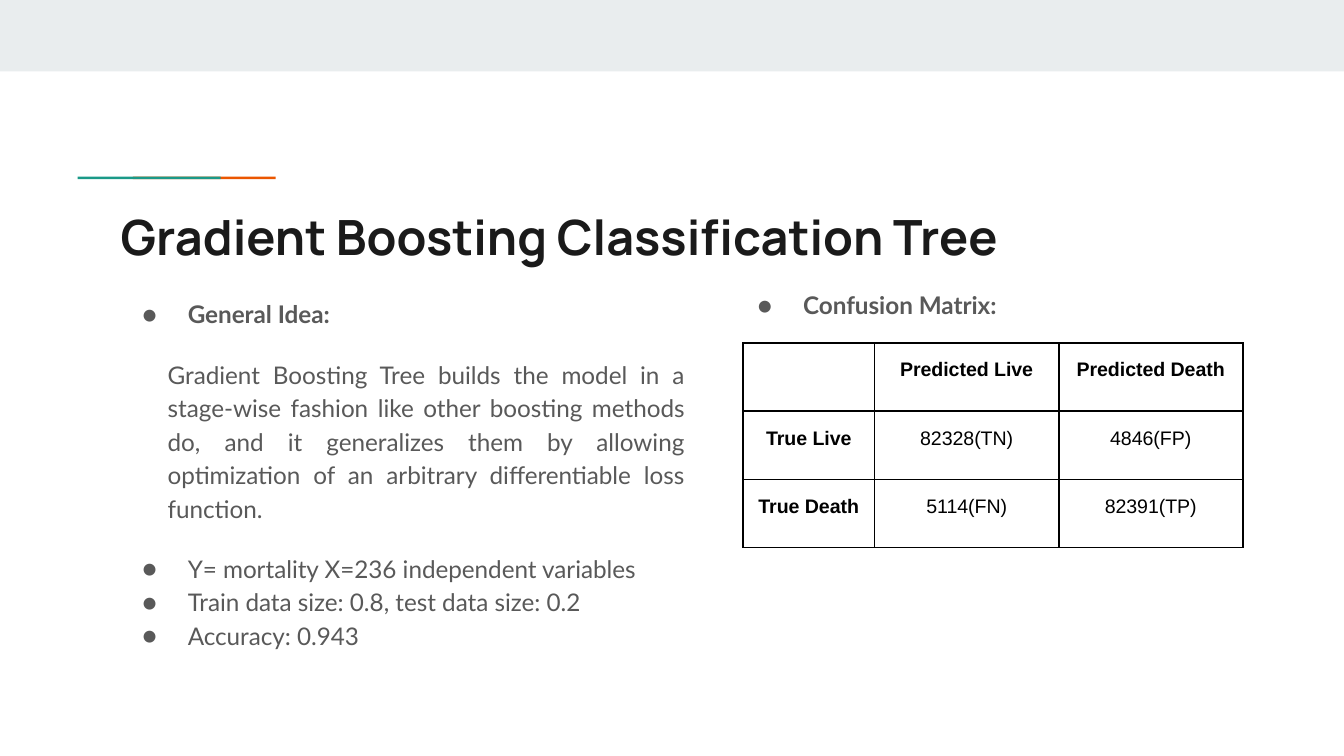
from dataclasses import dataclass

from lxml.etree import SubElement
from pptx import Presentation
from pptx.dml.color import RGBColor
from pptx.enum.shapes import MSO_SHAPE
from pptx.enum.text import MSO_ANCHOR, MSO_AUTO_SIZE, PP_ALIGN
from pptx.oxml import parse_xml
from pptx.oxml.ns import nsdecls, qn
from pptx.util import Cm, Pt


@dataclass(frozen=True)
class Theme:
    band: str = "E9EDEE"
    orange: str = "EB5600"
    teal: str = "1A9988"
    heading: str = "1A1A1A"
    body: str = "595959"
    grid: str = "000000"
    heading_font: str = "Manrope"
    body_font: str = "Lato"
    table_font: str = "Arial"
    heading_size: float = 26
    body_size: float = 13
    table_size: float = 10.5
    line_spacing: float = 1.15


THEME = Theme()

SETTINGS = [
    "Y= mortality X=236 independent variables",
    "Train data size: 0.8, test data size: 0.2",
    "Accuracy: 0.943",
]
IDEA = (
    "Gradient Boosting Tree builds the model in a stage-wise fashion like other "
    "boosting methods do, and it generalizes them by allowing optimization of an "
    "arbitrary differentiable loss function."
)
CONFUSION = [
    ["", "Predicted Live", "Predicted Death"],
    ["True Live", "82328(TN)", "4846(FP)"],
    ["True Death", "5114(FN)", "82391(TP)"],
]


def format_runs(paragraph, font, size, color, bold=False):
    for run in paragraph.runs:
        run.font.name = font
        run.font.size = Pt(size)
        run.font.bold = bold
        run.font.color.rgb = RGBColor.from_string(color)


def set_frame(frame):
    frame.word_wrap = True
    frame.auto_size = MSO_AUTO_SIZE.NONE
    frame.vertical_anchor = MSO_ANCHOR.TOP
    frame.margin_left = frame.margin_right = Cm(0.25)
    frame.margin_top = frame.margin_bottom = Cm(0.25)


def add_bullet(paragraph):
    properties = paragraph._p.get_or_add_pPr()
    properties.set("marL", str(Cm(1.27)))
    properties.set("indent", str(-Cm(0.86)))
    color = SubElement(properties, qn("a:buClr"))
    SubElement(color, qn("a:srgbClr"), val=THEME.body)
    SubElement(properties, qn("a:buFont"), typeface=THEME.body_font)
    SubElement(properties, qn("a:buChar"), char="●")


def add_bar(slide, box, color):
    bar = slide.shapes.add_shape(MSO_SHAPE.RECTANGLE, *map(Cm, box))
    bar.shadow.inherit = False
    bar.fill.solid()
    bar.fill.fore_color.rgb = RGBColor.from_string(color)
    bar.line.fill.background()


def add_text(slide, box, lines, bold_lines=0, bulleted=True):
    frame = slide.shapes.add_textbox(*map(Cm, box)).text_frame
    set_frame(frame)
    frame.text = "\n".join(lines)
    for index, paragraph in enumerate(frame.paragraphs):
        paragraph.line_spacing = THEME.line_spacing
        format_runs(paragraph, THEME.body_font, THEME.body_size, THEME.body,
                    index < bold_lines)
        if bulleted:
            add_bullet(paragraph)
    return frame


def build_header(slide, box):
    left, top, width, height = box
    add_bar(slide, (left, top, width, height), THEME.band)
    for offset, color in ((1.04, THEME.orange), (0, THEME.teal)):
        add_bar(slide, (left + 1.47 + offset, top + 3.34, 2.7, 0.05), color)


def build_title(slide, box):
    title = slide.shapes.title
    title.left, title.top, title.width, title.height = map(Cm, box)
    set_frame(title.text_frame)
    title.text_frame.text = "Gradient Boosting Classification Tree"
    heading = title.text_frame.paragraphs[0]
    heading.alignment = PP_ALIGN.LEFT
    format_runs(heading, THEME.heading_font, THEME.heading_size, THEME.heading, True)


def build_idea(slide, box):
    left, top, width, height = box
    outline = add_text(slide, box, ["General Idea:", *SETTINGS], bold_lines=1)
    outline.paragraphs[1].space_before = Pt(118.5)
    explanation = add_text(slide, (left + 0.89, top + 1.14, width - 0.66, 3.84),
                           [IDEA], bulleted=False)
    explanation.paragraphs[0].alignment = PP_ALIGN.JUSTIFY


def add_borders(cell):
    properties = cell._tc.get_or_add_tcPr()
    for position, side in enumerate(("lnL", "lnR", "lnT", "lnB")):
        border = parse_xml(
            f'<a:{side} {nsdecls("a")} w="{Pt(1)}"><a:solidFill>'
            f'<a:srgbClr val="{THEME.grid}"/></a:solidFill></a:{side}>'
        )
        properties.insert(position, border)


def build_matrix(slide, box):
    left, top, width, height = box
    add_text(slide, (left, top, 6.12, 1), ["Confusion Matrix:"], bold_lines=1)
    label_width, row_height = 2.49, 1.29
    value_width = (width - 0.38 - label_width) / 2
    matrix = slide.shapes.add_table(
        3, 3, Cm(left + 0.38), Cm(top + 1.32), Cm(width - 0.38), Cm(3 * row_height)
    ).table
    matrix.first_row = matrix.horz_banding = False
    for column, size in zip(matrix.columns, (label_width, value_width, value_width)):
        column.width = Cm(size)
    for row_index, values in enumerate(CONFUSION):
        matrix.rows[row_index].height = Cm(row_height)
        for column_index, value in enumerate(values):
            cell = matrix.cell(row_index, column_index)
            cell.fill.background()
            add_borders(cell)
            cell.margin_left = cell.margin_right = Cm(0.18)
            cell.margin_top = cell.margin_bottom = Cm(0.25)
            cell.text_frame.text = value
            entry = cell.text_frame.paragraphs[0]
            entry.alignment = PP_ALIGN.CENTER
            entry.font.size = Pt(THEME.table_size)
            entry.line_spacing = THEME.line_spacing
            format_runs(entry, THEME.table_font, THEME.table_size, THEME.grid,
                        row_index == 0 or column_index == 0)


def main():
    deck = Presentation()
    deck.slide_width, deck.slide_height = Cm(25.4), Cm(14.29)
    slide = deck.slides.add_slide(deck.slide_layouts[5])
    build_header(slide, (0, 0, 25.4, 1.35))
    build_title(slide, (2.03, 3.66, 21.36, 1.5))
    build_idea(slide, (2.03, 5.33, 10.92, 7.44))
    build_matrix(slide, (13.66, 5.16, 9.83, 5.19))
    deck.save("out.pptx")


if __name__ == "__main__":
    main()
